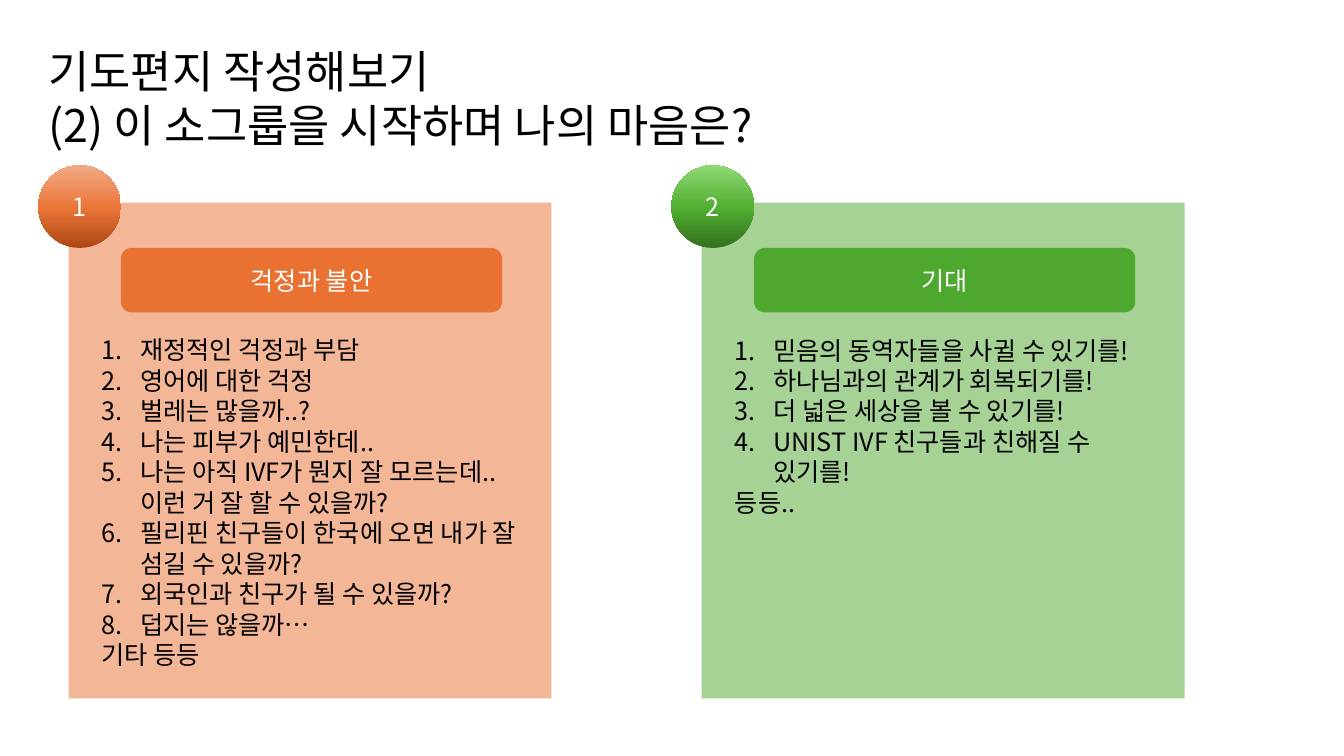
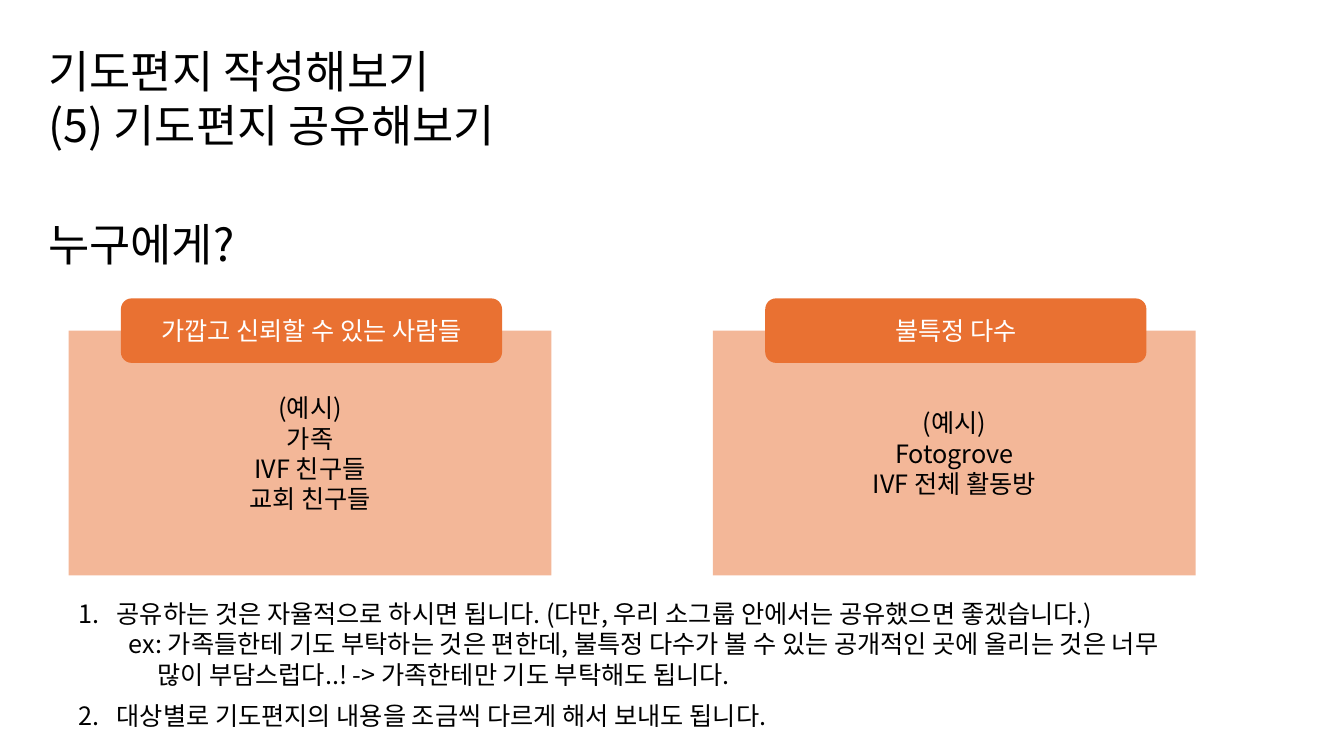
"""Build two slides on writing and sharing a prayer letter."""
import copy

import pptx
import pptx.dml.color
import pptx.enum.shapes
import pptx.enum.text
import pptx.oxml.ns
import pptx.util
from lxml import etree

WIDTH = pptx.util.Inches(13.33)
HEIGHT = pptx.util.Inches(7.5)
FONT = "Noto Sans CJK KR"
TITLE_SIZE, BODY_SIZE = 32, 18
LINE_FACTOR = 1.21
TITLE_LEFT, PANEL_LEFT = 2.85, 5.1
PANEL_WIDTH, HEADER_WIDTH, HEADER_HEIGHT = 35.93, 28.36, 8.53
HEADER_INDENT = 3.9
LIST_INDENT = 0.38
COLORS = {"black": "000000", "white": "FFFFFF", "orange": "E97132", "green": "4EA72E"}
BADGE_STOPS = {
    "orange": [(0, "AB4712"), (0.48, "EA7538"), (1, "F2AA84")],
    "green": [(0, "34701F"), (0.48, "51AE30"), (1, "8ED973")],
}
ALIGN = pptx.enum.text.PP_ALIGN
ANCHOR = pptx.enum.text.MSO_ANCHOR
SHAPE = pptx.enum.shapes.MSO_SHAPE
qn = pptx.oxml.ns.qn


def rgb(value):
    return pptx.dml.color.RGBColor.from_string(value)


def area(left, top, width, height):
    """Turn percentages of the slide into lengths."""
    return (int(WIDTH * left / 100), int(HEIGHT * top / 100),
            int(WIDTH * width / 100), int(HEIGHT * height / 100))


def write(shape, text, size=BODY_SIZE, color="black", align=ALIGN.LEFT, anchor=ANCHOR.TOP):
    frame = shape.text_frame
    frame.text = text
    frame.word_wrap = True
    frame.auto_size = pptx.enum.text.MSO_AUTO_SIZE.NONE
    frame.vertical_anchor = anchor
    for paragraph in frame.paragraphs:
        paragraph.alignment = align
        paragraph.line_spacing = pptx.util.Pt(size * LINE_FACTOR)
        for run in paragraph.runs:
            run.font.size = pptx.util.Pt(size)
            run.font.name = FONT
            run.font.color.rgb = rgb(COLORS[color])
            east_asian = etree.SubElement(run.font._element, qn("a:ea"))
            east_asian.set("typeface", FONT)
    return frame.paragraphs


def indent(paragraph, margin, first_line=0):
    properties = paragraph._p.get_or_add_pPr()
    properties.set("marL", str(pptx.util.Inches(margin)))
    properties.set("indent", str(pptx.util.Inches(first_line)))
    return properties


def number(paragraphs, start=1):
    for paragraph in paragraphs:
        properties = indent(paragraph, LIST_INDENT, -LIST_INDENT)
        bullet = etree.SubElement(properties, qn("a:buAutoNum"), type="arabicPeriod")
        if start > 1:
            bullet.set("startAt", str(start))


def add_title_slide(presentation, title, width):
    slide = presentation.slides.add_slide(presentation.slide_layouts[5])
    placeholder = slide.shapes.title
    (placeholder.left, placeholder.top,
     placeholder.width, placeholder.height) = area(TITLE_LEFT, 5.07, width, 15.73)
    write(placeholder, title, TITLE_SIZE)
    return slide


def add_text(slide, box, text, size=BODY_SIZE):
    return write(slide.shapes.add_textbox(*area(*box)), text, size)


def add_block(slide, kind, box, color):
    shape = slide.shapes.add_shape(kind, *area(*box))
    shape.shadow.inherit = False
    shape.line.fill.background()
    shape.fill.solid()
    shape.fill.fore_color.rgb = rgb(COLORS[color])
    return shape


def add_panel(slide, left, top, height, color, text=""):
    panel = add_block(slide, SHAPE.RECTANGLE, (left, top, PANEL_WIDTH, height), color)
    fill_color = panel._element.spPr.find(qn("a:solidFill")).find(qn("a:srgbClr"))
    etree.SubElement(fill_color, qn("a:alpha"), val="50000")
    if text:
        write(panel, text, align=ALIGN.CENTER, anchor=ANCHOR.MIDDLE)


def add_header(slide, panel_left, top, color, text):
    box = (panel_left + HEADER_INDENT, top, HEADER_WIDTH, HEADER_HEIGHT)
    header = add_block(slide, SHAPE.ROUNDED_RECTANGLE, box, color)
    write(header, text, color="white", align=ALIGN.CENTER, anchor=ANCHOR.MIDDLE)


def add_badge(slide, panel_left, color, text):
    badge = add_block(slide, SHAPE.OVAL, (panel_left - 2.25, 21.87, 6.15, 10.93), color)
    badge.fill.gradient()
    badge.fill.gradient_angle = 90
    stop_list = badge._element.spPr.find(qn("a:gradFill")).find(qn("a:gsLst"))
    stop_list.append(copy.deepcopy(stop_list[0]))
    for stop, (position, value) in zip(badge.fill.gradient_stops, BADGE_STOPS[color]):
        stop.position = position
        stop.color.rgb = rgb(value)
    write(badge, text, color="white", align=ALIGN.CENTER, anchor=ANCHOR.MIDDLE)


def add_feelings_column(slide, left, color, badge, header, items, closing, height):
    add_panel(slide, left, 26.8, 65.6, color)
    add_badge(slide, left, color, badge)
    add_header(slide, left, 32.8, color, header)
    paragraphs = add_text(slide, (left + 1.73, 43.6, 33.23, height),
                          "\n".join(items + [closing]))
    number(paragraphs[:-1])


def add_audience_column(slide, left, header, examples):
    add_panel(slide, left, 43.73, 32.4, "orange", "\n".join(["(예시)"] + examples))
    add_header(slide, left, 39.47, "orange", header)


def build_feelings_slide(presentation):
    slide = add_title_slide(
        presentation, "기도편지 작성해보기\n(2) 이 소그룹을 시작하며 나의 마음은?", 61.82)
    worries = [
        "재정적인 걱정과 부담",
        "영어에 대한 걱정",
        "벌레는 많을까..?",
        "나는 피부가 예민한데..",
        "나는 아직 IVF가 뭔지 잘 모르는데.. 이런 거 잘 할 수 있을까?",
        "필리핀 친구들이 한국에 오면 내가 잘 섬길 수 있을까?",
        "외국인과 친구가 될 수 있을까?",
        "덥지는 않을까…",
    ]
    hopes = [
        "믿음의 동역자들을 사귈 수 있기를!",
        "하나님과의 관계가 회복되기를!",
        "더 넓은 세상을 볼 수 있기를!",
        "UNIST IVF 친구들과 친해질 수 있기를!",
    ]
    add_feelings_column(slide, PANEL_LEFT, "orange", "1", "걱정과 불안",
                        worries, "기타 등등", 45.73)
    add_feelings_column(slide, 52.21, "green", "2", "기대", hopes, "등등..", 25.6)


def build_sharing_slide(presentation):
    slide = add_title_slide(
        presentation, "기도편지 작성해보기\n(5) 기도편지 공유해보기", 39.23)
    add_text(slide, (TITLE_LEFT, 28, 16.5, 8.53), "누구에게?", TITLE_SIZE)
    add_audience_column(slide, PANEL_LEFT, "가깝고 신뢰할 수 있는 사람들",
                        ["가족", "IVF 친구들", "교회 친구들"])
    add_audience_column(slide, 53.04, "불특정 다수", ["Fotogrove", "IVF 전체 활동방"])
    notes = [
        "공유하는 것은 자율적으로 하시면 됩니다. (다만, 우리 소그룹 안에서는 공유했으면 좋겠습니다.)",
        "ex: 가족들한테 기도 부탁하는 것은 편한데, 불특정 다수가 볼 수 있는 공개적인 곳에 올리는 것은 너무",
        "많이 부담스럽다..! -> 가족한테만 기도 부탁해도 됩니다.",
    ]
    rule, example, example_end = add_text(
        slide, (PANEL_LEFT, 78.4, 91.97, 13.47), "\n".join(notes))
    number([rule])
    indent(example, 0.5)
    indent(example_end, 0.78)
    number(add_text(slide, (PANEL_LEFT, 92, 57.61, 5.33),
                    "대상별로 기도편지의 내용을 조금씩 다르게 해서 보내도 됩니다."), 2)


def main():
    presentation = pptx.Presentation()
    presentation.slide_width = WIDTH
    presentation.slide_height = HEIGHT
    build_feelings_slide(presentation)
    build_sharing_slide(presentation)
    presentation.save("out.pptx")


if __name__ == "__main__":
    main()
